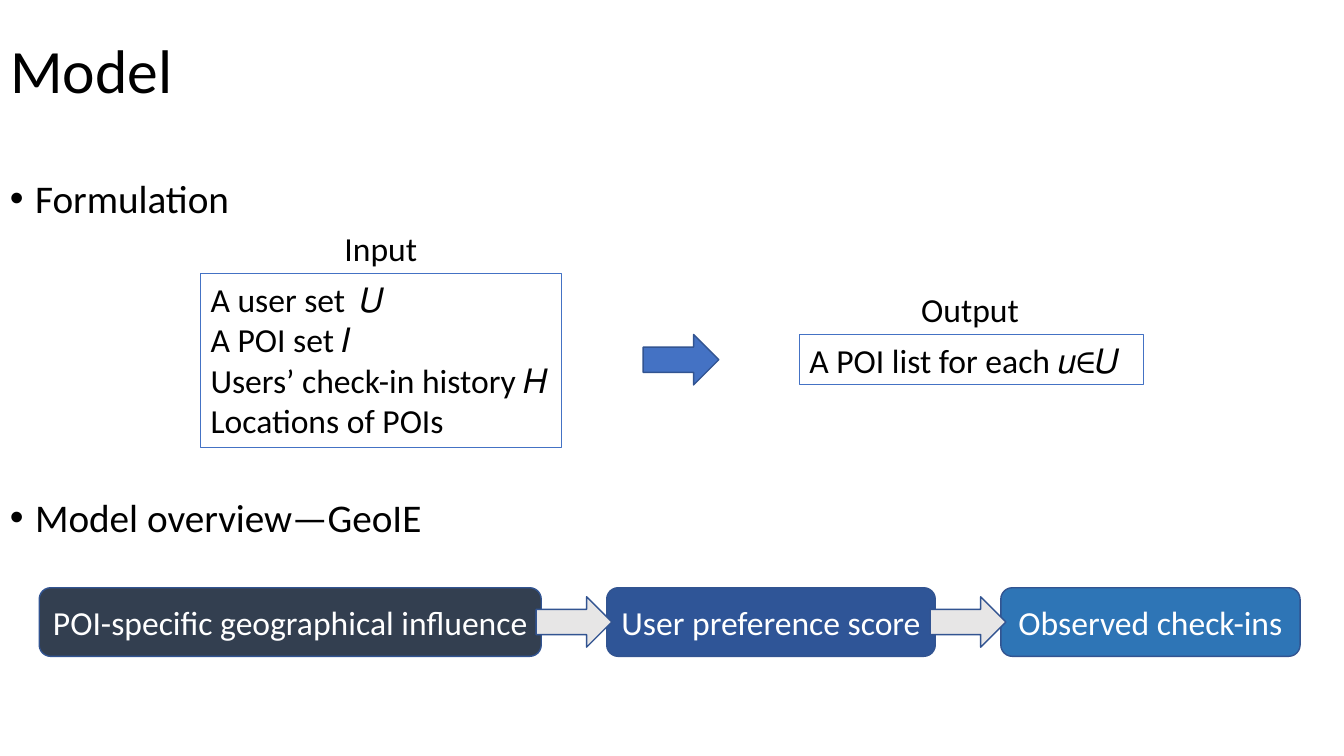
import pptx
import pptx.dml.color
import pptx.enum.shapes
import pptx.enum.text
import pptx.oxml
import pptx.util
from lxml import etree

Pt = pptx.util.Pt
RGBColor = pptx.dml.color.RGBColor
SHAPES = pptx.enum.shapes.MSO_SHAPE
ALIGN = pptx.enum.text.PP_ALIGN
ANCHOR = pptx.enum.text.MSO_ANCHOR

BLACK = RGBColor(0x00, 0x00, 0x00)
WHITE = RGBColor(0xFF, 0xFF, 0xFF)
BLUE = RGBColor(0x44, 0x72, 0xC4)
OUTLINE = RGBColor(0x32, 0x54, 0x91)
SLATE = RGBColor(0x33, 0x3F, 0x50)
NAVY = RGBColor(0x2F, 0x55, 0x97)
SKY = RGBColor(0x2E, 0x75, 0xB6)
GREY = RGBColor(0xE7, 0xE6, 0xE6)

SLIDE_WIDTH, SLIDE_HEIGHT = 960, 540
ARROW_WIDTH, ARROW_HEIGHT = 54, 36
STAGE_TOP, STAGE_HEIGHT, STAGE_GAP = 419.8, 49, 46.8
STAGES = [
    ("POI-specific geographical influence", 358.6, SLATE),
    ("User preference score ", 234.7, NAVY),
    ("Observed check-ins", 213.8, SKY),
]
INPUTS = ["A user set  𝑈", "A POI set 𝐼", "Users’ check-in history 𝐻", "Locations of POIs"]


def apply(target, formats):
    for attribute, value in formats.items():
        setattr(target, attribute, value)


def write(frame, lines, size=24, color=BLACK, paragraph_format=None, frame_format=None):
    apply(frame, {"word_wrap": True, "vertical_anchor": ANCHOR.TOP} | (frame_format or {}))
    for index, line in enumerate(lines):
        paragraph = frame.paragraphs[0] if index == 0 else frame.add_paragraph()
        apply(paragraph, {"alignment": ALIGN.LEFT} | (paragraph_format or {}))
        run = paragraph.add_run()
        run.text = line
        apply(run.font, {"name": "Calibri", "size": Pt(size)})
        run.font.color.rgb = color


def add_title(slide, text):
    title = slide.shapes.title
    apply(title, {"left": Pt(0), "top": Pt(0), "width": Pt(SLIDE_WIDTH), "height": Pt(104.4)})
    write(title.text_frame, [text], 44, paragraph_format={"line_spacing": 0.9},
          frame_format={"vertical_anchor": ANCHOR.MIDDLE,
                        "auto_size": pptx.enum.text.MSO_AUTO_SIZE.NONE})


def add_label(slide, text, left, top, width):
    label = slide.shapes.add_textbox(Pt(left), Pt(top), Pt(width), Pt(36))
    write(label.text_frame, [text], frame_format={"word_wrap": False})


def add_bullet(slide, text, top, height):
    heading = slide.shapes.add_textbox(Pt(0), Pt(top), Pt(SLIDE_WIDTH), Pt(height))
    write(heading.text_frame, [text], 28,
          paragraph_format={"line_spacing": 1.5, "space_before": Pt(10)})
    properties = heading.text_frame.paragraphs[0]._p.get_or_add_pPr()
    properties.set("marL", str(Pt(18)))
    properties.set("indent", str(-Pt(18)))
    font = etree.SubElement(properties, pptx.oxml.ns.qn("a:buFont"))
    font.set("typeface", "Arial")
    etree.SubElement(properties, pptx.oxml.ns.qn("a:buChar")).set("char", "•")


def add_block(slide, kind, box, fill=None, line=OUTLINE, line_width=1):
    block = slide.shapes.add_shape(kind, *map(Pt, box))
    block.shadow.inherit = False
    if fill is None:
        block.fill.background()
    else:
        block.fill.solid()
        block.fill.fore_color.rgb = fill
    block.line.color.rgb = line
    block.line.width = Pt(line_width)
    return block


def add_arrow(slide, center_x, center_y, fill):
    box = (center_x - ARROW_WIDTH / 2, center_y - ARROW_HEIGHT / 2, ARROW_WIDTH, ARROW_HEIGHT)
    add_block(slide, SHAPES.RIGHT_ARROW, box, fill)


def add_frame(slide, lines, box, wrap):
    frame = add_block(slide, SHAPES.RECTANGLE, box, line=BLUE, line_width=0.75)
    write(frame.text_frame, lines, frame_format={"word_wrap": wrap})


def add_pipeline(slide):
    """Draw the stages in a row, then an arrow centred on each gap."""
    left = 28
    gap_centers = []
    for text, width, fill in STAGES:
        stage = add_block(slide, SHAPES.ROUNDED_RECTANGLE,
                          (left, STAGE_TOP, width, STAGE_HEIGHT), fill)
        write(stage.text_frame, [text], color=WHITE,
              paragraph_format={"alignment": ALIGN.CENTER},
              frame_format={"vertical_anchor": ANCHOR.MIDDLE})
        left += width + STAGE_GAP
        gap_centers.append(left - STAGE_GAP / 2)
    for center in gap_centers[:-1]:
        add_arrow(slide, center, STAGE_TOP + STAGE_HEIGHT / 2, GREY)


def main():
    deck = pptx.Presentation()
    apply(deck, {"slide_width": Pt(SLIDE_WIDTH), "slide_height": Pt(SLIDE_HEIGHT)})
    slide = deck.slides.add_slide(deck.slide_layouts.get_by_name("Title Only"))

    add_title(slide, "Model")
    add_bullet(slide, "Formulation", 104.4, 218.2)
    add_label(slide, "Input", 239, 159.3, 67)
    add_frame(slide, INPUTS, (143.3, 195.6, 257.8, 123.8), True)
    add_arrow(slide, 486.4, 257, BLUE)
    add_label(slide, "Output", 650.9, 203, 85)
    add_frame(slide, ["A POI list for each 𝑢∈𝑈"], (571, 239, 245.5, 36), False)

    add_bullet(slide, "Model overview—GeoIE", 331.9, 52.6)
    add_pipeline(slide)
    deck.save("out.pptx")


if __name__ == "__main__":
    main()
